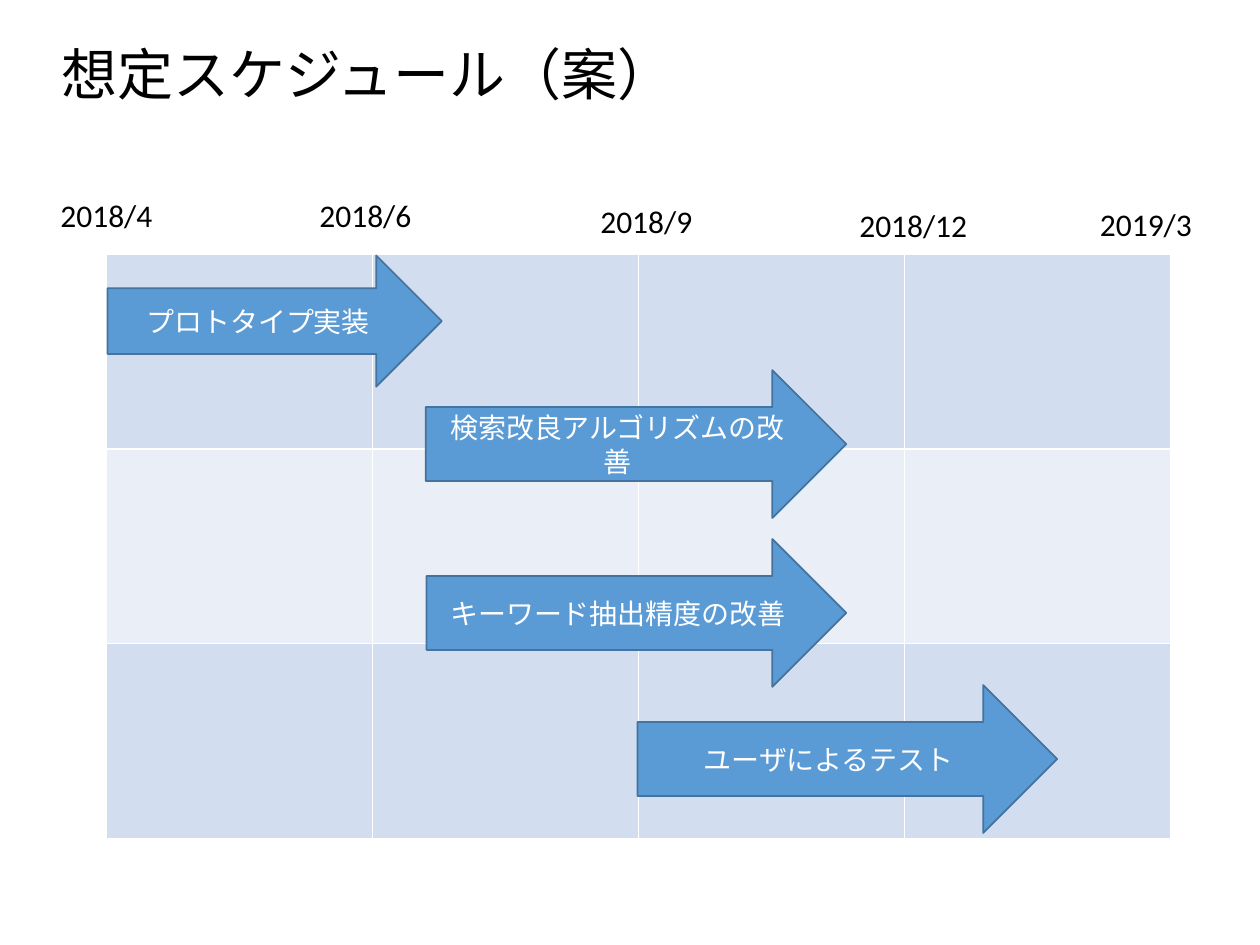
import dataclasses

import pptx
import pptx.dml.color
import pptx.enum.shapes
import pptx.enum.text
import pptx.oxml
import pptx.oxml.ns
import pptx.util

Pt = pptx.util.Pt


@dataclasses.dataclass(frozen=True)
class Theme:
    font: str = "Calibri"
    title_size: float = 32
    date_size: float = 18
    task_size: float = 16
    text: str = "000000"
    light: str = "FFFFFF"
    arrow: str = "5B9BD5"
    outline: str = "43739E"
    bands: tuple = ("D2DEEF", "EAEFF7")


class ScheduleSlide:
    """Draws the elements of a schedule on one slide in a shared style."""

    def __init__(self, slide, theme):
        self.slide = slide
        self.theme = theme

    def color(self, value):
        return pptx.dml.color.RGBColor.from_string(value)

    def set_text(self, shape, text, size, color):
        shape.text_frame.text = text
        paragraph = shape.text_frame.paragraphs[0]
        paragraph.font.name = self.theme.font
        paragraph.font.size = Pt(size)
        paragraph.font.color.rgb = self.color(color)
        return paragraph

    def text_box(self, text, left, top, width, height, size):
        shape = self.slide.shapes.add_textbox(Pt(left), Pt(top), Pt(width), Pt(height))
        shape.text_frame.word_wrap = True
        self.set_text(shape, text, size, self.theme.text)
        return shape

    def title(self, text, left, top, width, height):
        shape = self.text_box(text, left, top, width, height, self.theme.title_size)
        shape.text_frame.vertical_anchor = pptx.enum.text.MSO_ANCHOR.MIDDLE
        shape.text_frame.paragraphs[0].line_spacing = 0.9

    def date(self, text, left, top):
        self.text_box(text, left, top, 77, 29, self.theme.date_size)

    def borders(self, cell):
        properties = cell._tc.get_or_add_tcPr()
        for position, side in enumerate(("lnL", "lnR", "lnT", "lnB")):
            border = pptx.oxml.parse_xml(
                f'<a:{side} {pptx.oxml.ns.nsdecls("a")} w="{Pt(1)}"><a:solidFill>'
                f'<a:srgbClr val="{self.theme.light}"/></a:solidFill></a:{side}>'
            )
            properties.insert(position, border)

    def grid(self, rows, columns, left, top, width, height):
        table = self.slide.shapes.add_table(
            rows, columns, Pt(left), Pt(top), Pt(width), Pt(height)
        ).table
        table.first_row = False
        table.horz_banding = False
        for row_number, row in enumerate(table.rows):
            band = self.theme.bands[row_number % len(self.theme.bands)]
            for cell in row.cells:
                cell.fill.solid()
                cell.fill.fore_color.rgb = self.color(band)
                self.borders(cell)

    def task(self, text, left, top, width, height):
        shape = self.slide.shapes.add_shape(
            pptx.enum.shapes.MSO_SHAPE.RIGHT_ARROW, Pt(left), Pt(top), Pt(width), Pt(height)
        )
        shape.shadow.inherit = False
        shape.fill.solid()
        shape.fill.fore_color.rgb = self.color(self.theme.arrow)
        shape.line.color.rgb = self.color(self.theme.outline)
        shape.line.width = Pt(1)
        shape.text_frame.word_wrap = True
        shape.text_frame.vertical_anchor = pptx.enum.text.MSO_ANCHOR.MIDDLE
        paragraph = self.set_text(shape, text, self.theme.task_size, self.theme.light)
        paragraph.alignment = pptx.enum.text.PP_ALIGN.CENTER


DATES = (
    ("2018/4", 27.5, 108.5),
    ("2018/6", 175.5, 108.5),
    ("2018/9", 336, 112),
    ("2018/12", 484, 114),
    ("2019/3", 621.5, 113.5),
)

TASKS = (
    ("プロトタイプ実装", 61.5, 146, 191, 75),
    ("検索改良アルゴリズムの改善", 243.3, 211.5, 240.3, 84.5),
    ("キーワード抽出精度の改善", 243.8, 308, 239.8, 84.5),
    ("ユーザによるテスト", 364.3, 391.5, 239.8, 84.5),
)


def main():
    presentation = pptx.Presentation()
    presentation.slide_width = Pt(720)
    presentation.slide_height = Pt(540)
    slide = presentation.slides.add_slide(presentation.slide_layouts[6])
    schedule = ScheduleSlide(slide, Theme())
    schedule.title("想定スケジュール（案）", 28, 26.5, 620.5, 36)
    schedule.grid(3, 4, 60.8, 145.5, 608, 333.6)
    for date in DATES:
        schedule.date(*date)
    for task in TASKS:
        schedule.task(*task)
    presentation.save("out.pptx")


if __name__ == "__main__":
    main()
